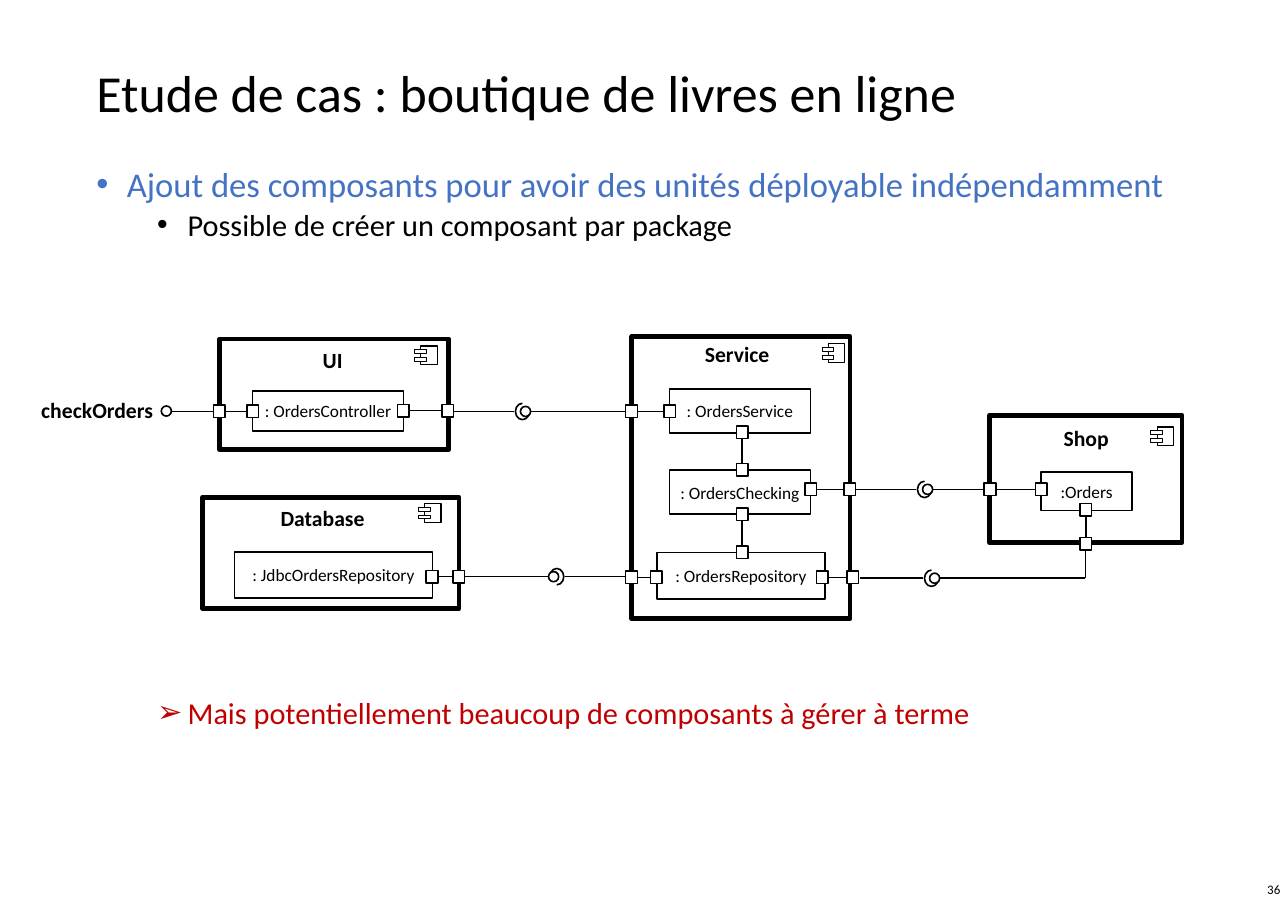
from lxml import etree
from pptx import Presentation
from pptx import util as u
from pptx.dml.color import RGBColor
from pptx.enum import shapes, text
from pptx.oxml import ns

PX = 9144
BLACK = RGBColor(0x00, 0x00, 0x00)
WHITE = RGBColor(0xFF, 0xFF, 0xFF)
BLUE = RGBColor(0x44, 0x72, 0xC4)
RED = RGBColor(0xC0, 0x00, 0x00)
FONT = "Calibri"
SHAPE = shapes.MSO_SHAPE
ALIGN = text.PP_ALIGN
ANCHOR = text.MSO_ANCHOR
PORT_WIDTH, PORT_HEIGHT = 15, 16


def px(*lengths):
    return [u.Emu(round(length * PX)) for length in lengths]


def write(paragraph, words, size=16, color=BLACK, bold=False, align=ALIGN.LEFT,
          spacing=None, before=0, bullet=None, margin=0):
    paragraph.alignment = align
    paragraph.line_spacing = spacing
    paragraph.space_before = u.Pt(before)
    run = paragraph.add_run()
    run.text = words
    run.font.name = FONT
    run.font.size = u.Pt(size)
    run.font.bold = bold
    run.font.color.rgb = color
    if bullet:
        properties = paragraph._p.get_or_add_pPr()
        properties.set("marL", str(margin * PX))
        properties.set("indent", str(-39 * PX))
        etree.SubElement(properties, ns.qn("a:buFont"), typeface="Arial")
        etree.SubElement(properties, ns.qn("a:buChar"), char=bullet)


def add_box(slide, box, anchor=ANCHOR.TOP, wrap=True):
    frame = slide.shapes.add_textbox(*px(*box)).text_frame
    frame.word_wrap = wrap
    frame.vertical_anchor = anchor
    return frame


def add_figure(slide, kind, box, width=1.5, fill=WHITE):
    shape = slide.shapes.add_shape(kind, *px(*box))
    shape.shadow.inherit = False
    if fill is None:
        shape.fill.background()
    else:
        shape.fill.solid()
        shape.fill.fore_color.rgb = fill
    shape.line.color.rgb = BLACK
    shape.line.width = u.Pt(width)
    return shape


def add_line(slide, start, end):
    line = slide.shapes.add_connector(shapes.MSO_CONNECTOR.STRAIGHT, *px(*start, *end))
    line.line.color.rgb = BLACK
    line.line.width = u.Pt(1.5)
    etree.SubElement(line._element.spPr, ns.qn("a:effectLst"))


def add_icon(slide, left, top):
    add_figure(slide, SHAPE.RECTANGLE, (left + 8, top, 21, 24), width=1)
    for drop in (15, 5):
        add_figure(slide, SHAPE.RECTANGLE, (left, top + drop, 15, 5), width=1)


def add_component(slide, box, name, name_at, icon_at, parts):
    add_figure(slide, SHAPE.FLOWCHART_PROCESS, box, width=4.5)
    title = add_box(slide, (*name_at, 294, 44))
    write(title.paragraphs[0], name, size=20, bold=True, align=ALIGN.CENTER)
    add_icon(slide, *icon_at)
    for label, part_box in parts:
        frame = add_figure(slide, SHAPE.RECTANGLE, part_box).text_frame
        frame.vertical_anchor = ANCHOR.MIDDLE
        write(frame.paragraphs[0], label, align=ALIGN.CENTER)


def add_wire(slide, *ports):
    add_line(slide, *[(left + PORT_WIDTH / 2, top + PORT_HEIGHT / 2) for left, top in ports])
    for port in ports:
        add_figure(slide, SHAPE.RECTANGLE, (*port, PORT_WIDTH, PORT_HEIGHT))


def add_interface(slide, left, right, y, socket, mirrored=False):
    add_line(slide, (left, y), (socket, y))
    add_line(slide, (socket + 21, y), (right, y))
    arc = add_figure(slide, SHAPE.ARC, (socket, y - 9, 21, 18), fill=None)
    arc.adjustments[0] = 67.53
    arc.adjustments[1] = 0
    arc.rotation = 90 if mirrored else 270
    ball = socket if mirrored else socket + 8
    add_figure(slide, SHAPE.OVAL, (ball, y - 6.5, 13, 13))


def add_heading(slide, box):
    write(add_box(slide, box, ANCHOR.MIDDLE).paragraphs[0],
          "Etude de cas : boutique de livres en ligne", size=48, spacing=0.9)


def add_body(slide, box):
    frame = add_box(slide, box)
    write(frame.paragraphs[0],
          "Ajout des composants pour avoir des unités déployable indépendamment",
          size=32, color=BLUE, spacing=0.8, bullet="•", margin=39)
    write(frame.add_paragraph(), "Possible de créer un composant par package",
          size=28, spacing=0.8, before=7.8, bullet="•", margin=117)
    write(frame.add_paragraph(),
          "Mais potentiellement beaucoup de composants à gérer à terme",
          size=28, color=RED, spacing=0.8, before=424, bullet="➢", margin=117)


def add_diagram(slide):
    components = [
        ((282, 435, 294, 142), "UI", (280, 440), (532, 444),
         [(": OrdersController", (324, 502, 194, 51))]),
        ((811, 432, 280, 362), "Service", (799, 432), (1055, 441),
         [(": OrdersService", (859, 499, 181, 57)),
          (": OrdersChecking", (859, 603, 181, 57)),
          (": OrdersRepository", (843, 709, 216, 60))]),
        ((260, 638, 329, 143), "Database", (267, 643), (537, 646),
         [(": JdbcOrdersRepository", (301, 708, 254, 59))]),
        ((1270, 533, 247, 163), "Shop", (1247, 540), (1477, 548),
         [(":Orders", (1336, 606, 117, 49))]),
    ]
    for component in components:
        add_component(slide, *component)

    add_interface(slide, 582, 803, 528, socket=660)
    add_interface(slide, 596, 803, 740, socket=704, mirrored=True)
    add_interface(slide, 1098, 1263, 628, socket=1176)
    add_interface(slide, 1104, 1393, 742, socket=1185)
    add_line(slide, (1393, 742), (1393, 703))

    wires = [
        ((274, 520), (317, 520)),
        ((510, 519), (567, 519)),
        ((547, 732), (581, 732)),
        ((803, 520), (852, 520)),
        ((803, 733), (835, 733)),
        ((945, 547), (945, 595)),
        ((945, 652), (945, 701)),
        ((1033, 620), (1083, 620)),
        ((1048, 733), (1087, 733)),
        ((1263, 620), (1329, 620)),
        ((1386, 646), (1386, 690)),
    ]
    for wire in wires:
        add_wire(slide, *wire)

    entry = add_box(slide, (43, 504, 165, 44), wrap=False)
    write(entry.paragraphs[0], "checkOrders", size=20, bold=True)
    add_line(slide, (220, 528), (274, 528))
    add_figure(slide, SHAPE.OVAL, (207, 521, 13, 13))


def add_page_number(slide, box):
    write(add_box(slide, box, ANCHOR.MIDDLE).paragraphs[0], "36", size=12, align=ALIGN.RIGHT)


def main():
    presentation = Presentation()
    presentation.slide_width, presentation.slide_height = px(1653, 1169)
    slide = presentation.slides.add_slide(presentation.slide_layouts[6])
    add_heading(slide, (114, 62, 1426, 122))
    add_body(slide, (114, 215, 1426, 782))
    add_diagram(slide)
    add_page_number(slide, (1281, 1110, 372, 62))
    presentation.save("out.pptx")


if __name__ == "__main__":
    main()
